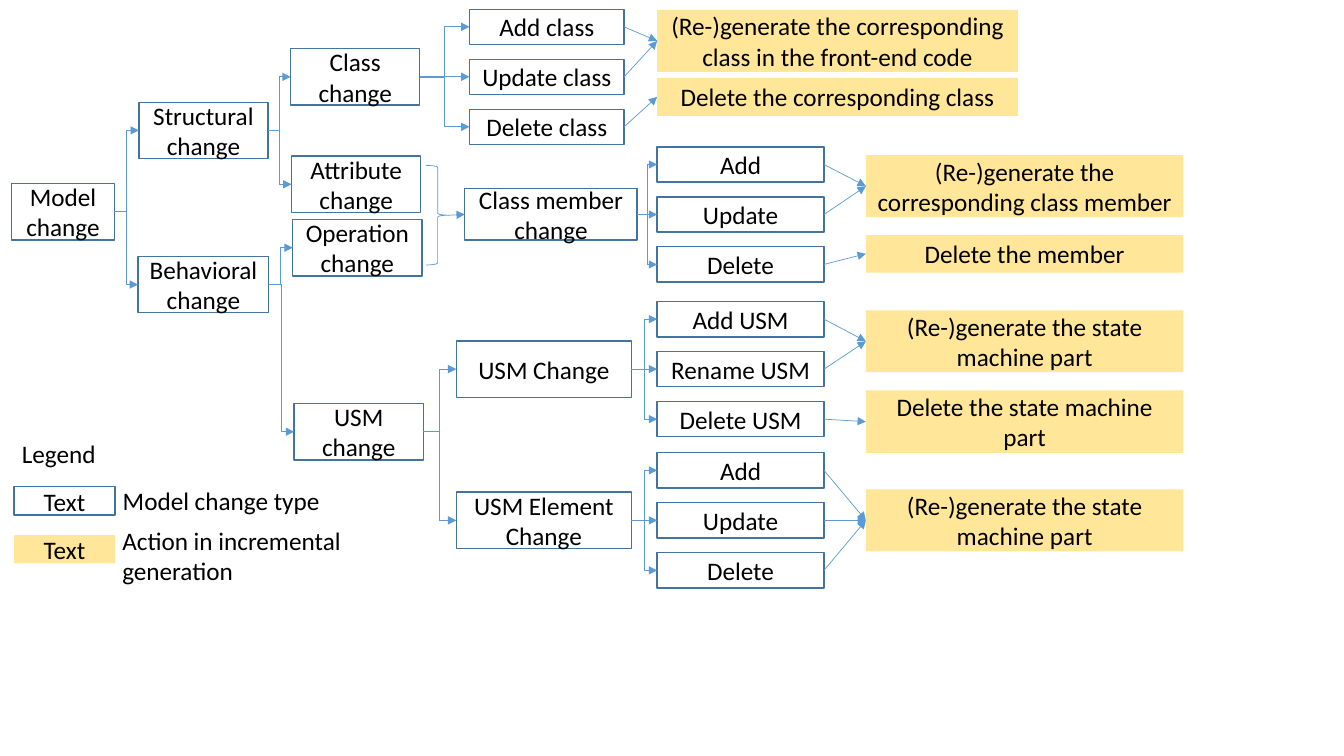
"""Build the slide that classifies model changes and their incremental generation actions."""
from dataclasses import dataclass

import pptx
import pptx.dml.color
import pptx.enum.shapes
import pptx.enum.text
import pptx.util
from lxml import etree

Pt = pptx.util.Pt
Shapes = pptx.enum.shapes.MSO_SHAPE
Connectors = pptx.enum.shapes.MSO_CONNECTOR
LEFT_SITE, RIGHT_SITE = 1, 3
DRAWING = "{http://schemas.openxmlformats.org/drawingml/2006/main}"


@dataclass(frozen=True)
class Theme:
    font: str = "Calibri"
    text_size: float = 18
    text: str = "000000"
    outline: str = "43739E"
    link: str = "5B9BD5"
    action: str = "FFE699"
    outline_width: float = 1
    link_width: float = 0.5


class Diagram:
    def __init__(self, slide, theme):
        self.slide = slide
        self.theme = theme

    def color(self, value):
        return pptx.dml.color.RGBColor.from_string(value)

    def stroke(self, shape, color, width):
        shape.line.color.rgb = self.color(color)
        shape.line.width = Pt(width)

    def add_text(self, shape, lines, alignment):
        frame = shape.text_frame
        for index, line in enumerate(lines):
            paragraph = frame.add_paragraph() if index else frame.paragraphs[0]
            paragraph.alignment = alignment
            run = paragraph.add_run()
            run.text = line
            run.font.name = self.theme.font
            run.font.size = Pt(self.theme.text_size)
            run.font.color.rgb = self.color(self.theme.text)

    def box(self, label, left, middle, width, height, fill=None):
        shape = self.slide.shapes.add_shape(
            Shapes.RECTANGLE, Pt(left), Pt(middle - height / 2), Pt(width), Pt(height))
        shape.shadow.inherit = False
        if fill:
            shape.fill.solid()
            shape.fill.fore_color.rgb = self.color(fill)
            shape.line.fill.background()
        else:
            shape.fill.background()
            self.stroke(shape, self.theme.outline, self.theme.outline_width)
        shape.text_frame.word_wrap = True
        shape.text_frame.vertical_anchor = pptx.enum.text.MSO_ANCHOR.MIDDLE
        self.add_text(shape, [label], pptx.enum.text.PP_ALIGN.CENTER)
        return shape

    def change(self, label, left, middle, width=92.2, height=40.3):
        return self.box(label, left, middle, width, height)

    def action(self, label, left, middle, width, height=44.2):
        return self.box(label, left, middle, width, height, self.theme.action)

    def caption(self, lines, left, top, width, height):
        shape = self.slide.shapes.add_textbox(Pt(left), Pt(top), Pt(width), Pt(height))
        shape.text_frame.word_wrap = False
        shape.text_frame.auto_size = pptx.enum.text.MSO_AUTO_SIZE.SHAPE_TO_FIT_TEXT
        self.add_text(shape, lines, pptx.enum.text.PP_ALIGN.LEFT)

    def brace(self, left, top, width, height):
        shape = self.slide.shapes.add_shape(
            Shapes.RIGHT_BRACE, Pt(left), Pt(top), Pt(width), Pt(height))
        shape.shadow.inherit = False
        shape.fill.background()
        self.stroke(shape, self.theme.link, self.theme.link_width)
        return shape

    def arrow(self, source, target, kind=Connectors.STRAIGHT, glue_source=True):
        connector = self.slide.shapes.add_connector(
            kind, source.left + source.width, source.top + source.height // 2,
            target.left, target.top + target.height // 2)
        if glue_source:
            connector.begin_connect(source, RIGHT_SITE)
        connector.end_connect(target, LEFT_SITE)
        self.stroke(connector, self.theme.link, self.theme.link_width)
        properties = connector.element.spPr
        line = properties.find(DRAWING + "ln")
        etree.SubElement(line, DRAWING + "tailEnd", type="triangle")
        etree.SubElement(properties, DRAWING + "effectLst")

    def branch(self, parent, children):
        for child in children:
            self.arrow(parent, child, Connectors.ELBOW)

    def operations(self, parent, labels, left, width, pitch=35.7):
        middle = (parent.top + parent.height / 2) / Pt(1)
        children = [self.change(label, left, middle + (index - 1) * pitch, width, 25.2)
                    for index, label in enumerate(labels)]
        self.branch(parent, children)
        return children

    def outcomes(self, operations, actions):
        for operation, action in zip(operations, actions):
            self.arrow(operation, action)


presentation = pptx.Presentation()
presentation.slide_width, presentation.slide_height = Pt(960), Pt(540)
slide = presentation.slides.add_slide(presentation.slide_layouts[6])
diagram = Diagram(slide, Theme())

model = diagram.change("Model change", 8.2, 151.2, 73.6)
structural = diagram.change("Structural change", 99.2, 93.2)
behavioral = diagram.change("Behavioral change", 98.6, 203.3, 93.4)
class_change = diagram.change("Class change", 207.6, 54.9)
attribute = diagram.change("Attribute change", 208.3, 131.7)
operation = diagram.change("Operation change", 209.1, 177)
machine = diagram.change("USM change", 210.1, 308.4)
member = diagram.change("Class member change", 332, 153.2, 123.1, 36.8)
machine_change = diagram.change("USM Change", 326, 263.7, 125)
element_change = diagram.change("USM Element Change", 326, 371.7, 125)

diagram.branch(model, [structural, behavioral])
diagram.branch(structural, [class_change, attribute])
diagram.branch(behavioral, [operation, machine])
diagram.branch(machine, [machine_change, element_change])
diagram.arrow(diagram.brace(304.4, 118.2, 16.4, 71.1), member, glue_source=False)

class_operations = diagram.operations(
    class_change, ["Add class", "Update class", "Delete class"], 335.4, 110.4)
member_operations, machine_operations, element_operations = [
    diagram.operations(parent, labels, 469.4, 119.2)
    for parent, labels in [
        (member, ["Add", "Update", "Delete"]),
        (machine_change, ["Add USM", "Rename USM", "Delete USM"]),
        (element_change, ["Add", "Update", "Delete"])]]

wide, narrow = (469.4, 257.7), (618.5, 226.8)
for operations, (left, width), generate, delete in [
        (class_operations, wide,
         ("(Re-)generate the corresponding class in the front-end code", 29.2),
         ("Delete the corresponding class", 69.2, 27.1)),
        (member_operations, narrow,
         ("(Re-)generate the corresponding class member", 133),
         ("Delete the member", 181.3, 26.8)),
        (machine_operations, narrow,
         ("(Re-)generate the state machine part", 243.8),
         ("Delete the state machine part", 301.2, 44.6)),
        (element_operations, narrow,
         ("(Re-)generate the state machine part", 371.7), None)]:
    label, middle = generate
    generated = diagram.action(label, left, middle, width)
    deleted = generated
    if delete:
        label, middle, height = delete
        deleted = diagram.action(label, left, middle, width, height)
    diagram.outcomes(operations, [generated, generated, deleted])

diagram.caption(["Legend"], 8.6, 309.6, 67.7, 29)
diagram.change("Text", 10.1, 357.8, 72, 20.2)
diagram.action("Text", 10.1, 392.4, 72, 20.2)
diagram.caption(["Model change type"], 80.6, 343.4, 157, 29)
diagram.caption(["Action in incremental", "generation"], 80.3, 371.5, 172, 51)

presentation.save("out.pptx")
